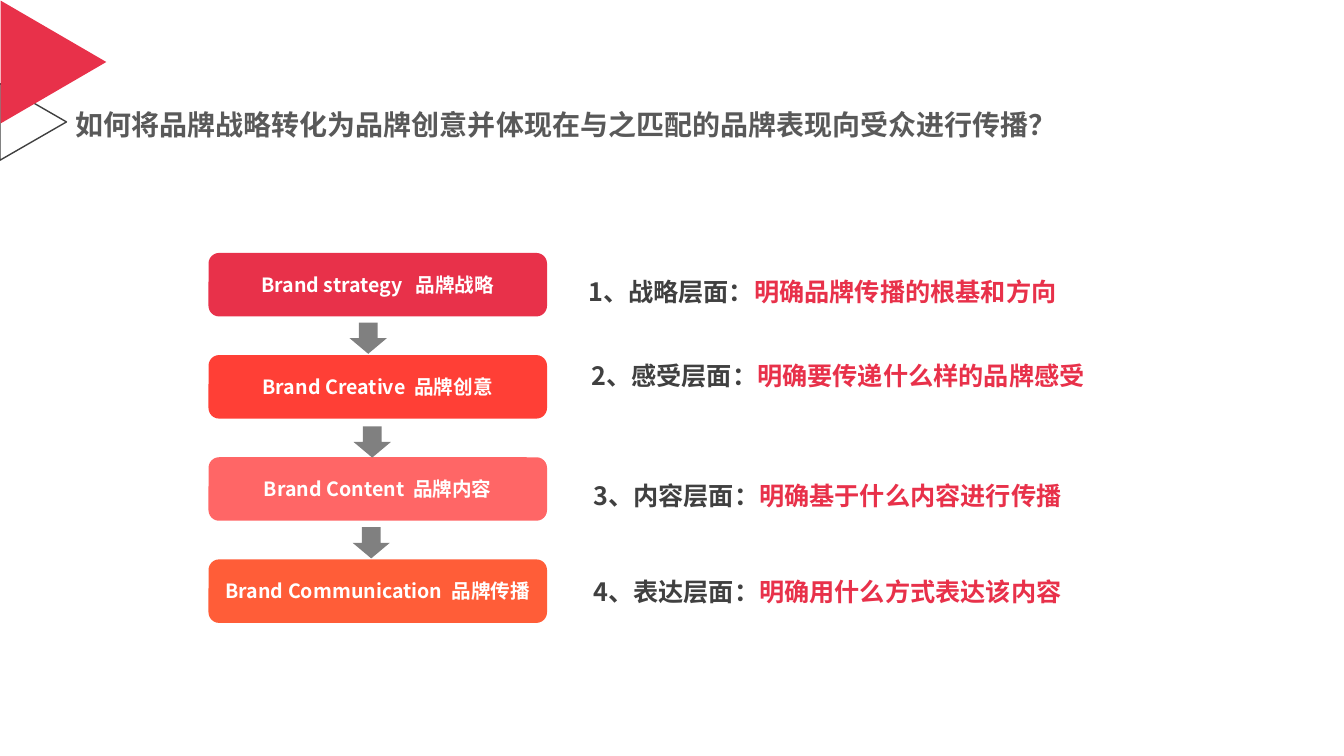
from pptx import Presentation, util as u
from pptx.dml.color import RGBColor
from pptx.enum import shapes, text
from pptx.oxml.ns import qn
from lxml import etree

FONT = "Noto Sans CJK SC"
RED, DARK, GREY, WHITE = "E8314A", "404040", "808080", "FFFFFF"
TITLE = "如何将品牌战略转化为品牌创意并体现在与之匹配的品牌表现向受众进行传播？"
BARS = [
    ("Brand strategy", "品牌战略", RED, 6),
    ("Brand Creative", "品牌创意", "FF3F36", 3),
    ("Brand Content", "品牌内容", "FF6666", 3),
    ("Brand Communication", "品牌传播", "FF5D38", 3),
]
NOTES = [
    ("1、战略层面：", "明确品牌传播的根基和方向", 5.74, 2.39, 2),
    ("2、感受层面：", "明确要传递什么样的品牌感受", 5.77, 3.53, 1),
    ("3、内容层面：", "明确基于什么内容进行传播", 5.79, 4.42, 2),
    ("4、表达层面：", "明确用什么方式表达该内容", 5.79, 5.67, 1),
]
ARROWS = [(3.47, 3.2), (3.51, 4.23), (3.5, 5.23)]
LEFT, TOP, WIDE, HIGH = 2.07, 2.51, 3.36, 0.63
STEP = (5.55 - TOP) / (len(BARS) - 1)

deck = Presentation()
deck.slide_width, deck.slide_height = u.Inches(13.34), u.Inches(7.5)
slide = deck.slides.add_slide(deck.slide_layouts[6])
KIND = shapes.MSO_SHAPE


def color(code):
    return RGBColor.from_string(code)


def shape(kind, box, fill=None, line=None, turn=0):
    item = slide.shapes.add_shape(kind, *map(u.Inches, box))
    item.shadow.inherit = False
    item.rotation = turn
    if fill:
        item.fill.solid()
        item.fill.fore_color.rgb = color(fill)
    else:
        item.fill.background()
    if line:
        item.line.color.rgb = color(line)
        item.line.width = u.Pt(1)
    else:
        item.line.fill.background()
    return item


def label(box):
    return slide.shapes.add_textbox(*map(u.Inches, box))


def write(item, runs, size, inset=None, anchor=text.MSO_ANCHOR.TOP,
          align=text.PP_ALIGN.LEFT, space=1.0):
    frame = item.text_frame
    frame.word_wrap = True
    frame.vertical_anchor = anchor
    if inset is not None:
        frame.margin_left = frame.margin_right = u.Inches(inset)
        frame.margin_top = frame.margin_bottom = u.Inches(inset)
    para = frame.paragraphs[0]
    para.alignment = align
    para.line_spacing = float(space)
    for words, code, gap in runs:
        run = para.add_run()
        run.text = words
        run.font.size = u.Pt(size)
        run.font.bold = True
        run.font.name = FONT
        run.font.color.rgb = color(code)
        props = run.font._element
        etree.SubElement(props, qn("a:ea")).set("typeface", FONT)
        if gap:
            props.set("spc", str(gap * 100))


shape(KIND.ISOSCELES_TRIANGLE, (-0.05, 0.88, 0.76, 0.66), line=DARK, turn=90)
shape(KIND.ISOSCELES_TRIANGLE, (-0.08, 0.09, 1.22, 1.05), RED, turn=90)
write(label((0.7, 1.05, 9.92, 0.41)), [(TITLE, "595959", 0)], 20, 0.05,
      text.MSO_ANCHOR.MIDDLE, space=0.9)

for row, (name, local, fill, gap) in enumerate(BARS):
    bar = shape(KIND.ROUNDED_RECTANGLE, (LEFT, TOP + row * STEP, WIDE, HIGH), fill)
    runs = [(name, WHITE, 0), (" ", WHITE, gap), (local, WHITE, 0)]
    write(bar, runs, 14, 0, text.MSO_ANCHOR.MIDDLE, text.PP_ALIGN.CENTER)

for x, y in ARROWS:
    shape(KIND.DOWN_ARROW, (x, y, 0.37, 0.31), GREY)

for head, body, x, y, space in NOTES:
    write(label((x, y, 6, 0.4 if space == 1 else 0.71)),
          [(head, DARK, 0), (body, RED, 0)], 18, space=space)

deck.save("out.pptx")
